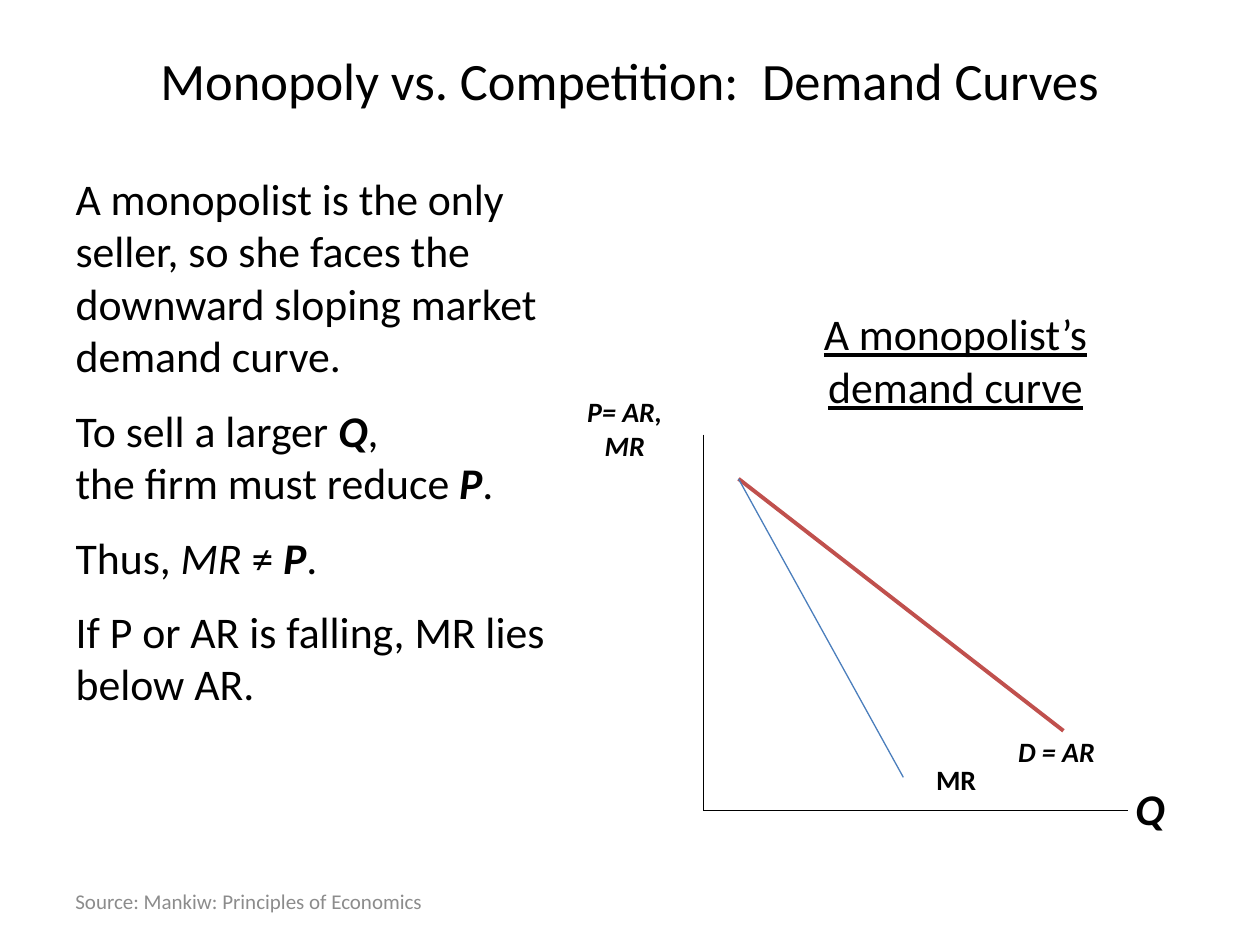
import pptx
import pptx.dml.color
import pptx.enum.shapes
import pptx.enum.text
import pptx.oxml.ns
import pptx.util
from lxml import etree

Pt = pptx.util.Pt
ALIGN = pptx.enum.text.PP_ALIGN
ANCHOR = pptx.enum.text.MSO_ANCHOR
BLACK, GREY, RED, BLUE = "000000", "8C8C8C", "C0504D", "4B7EBC"


def color(hex_string):
    return pptx.dml.color.RGBColor.from_string(hex_string)


def set_font(font, size, hex_string=BLACK, bold=False, italic=False, underline=False):
    font.name = "Calibri"
    font.size = Pt(size)
    font.bold, font.italic, font.underline = bold, italic, underline
    font.color.rgb = color(hex_string)


def place(shape, left, top, width, height):
    shape.left, shape.top = Pt(left), Pt(top)
    shape.width, shape.height = Pt(width), Pt(height)


def add_label(slide, box, text, size, align=ALIGN.LEFT, anchor=ANCHOR.TOP,
              inset=None, **font_style):
    label = slide.shapes.add_textbox(*map(Pt, box))
    frame = label.text_frame
    frame.word_wrap = True
    frame.vertical_anchor = anchor
    if inset is not None:
        frame.margin_left = frame.margin_right = Pt(inset)
        frame.margin_top = frame.margin_bottom = Pt(inset)
    frame.text = text
    frame.paragraphs[0].alignment = align
    set_font(frame.paragraphs[0].runs[0].font, size, **font_style)


def add_line(slide, start, end, hex_string, width):
    line = slide.shapes.add_connector(
        pptx.enum.shapes.MSO_CONNECTOR.STRAIGHT, *map(Pt, start + end))
    line.line.color.rgb = color(hex_string)
    line.line.width = Pt(width)
    properties = line._element.spPr
    etree.SubElement(properties, pptx.oxml.ns.qn("a:effectLst"))


def fill_title(slide, left, top, width, height):
    title = slide.shapes.title
    place(title, left, top, width, height)
    frame = title.text_frame
    frame.text = "Monopoly vs. Competition:  Demand Curves"
    frame.vertical_anchor = ANCHOR.MIDDLE
    frame.auto_size = pptx.enum.text.MSO_AUTO_SIZE.NONE
    frame.paragraphs[0].alignment = ALIGN.CENTER
    set_font(frame.paragraphs[0].runs[0].font, 30)


def fill_arguments(slide, left, top, width, height):
    # Each run is (text, bold, italic); "\n" is a line break
    arguments = [
        [("A monopolist is the only seller, so she faces the downward "
          "sloping market demand curve.", False, False)],
        [("To sell a larger ", False, False), ("Q", True, True),
         (",\nthe firm must reduce ", False, False), ("P", True, True),
         (".", False, False)],
        [("Thus, ", False, False), ("MR", False, True), (" ≠ ", False, False),
         ("P", True, True), (".", False, False)],
        [("If P or AR is falling, MR lies below AR.", False, False)],
    ]
    body = slide.placeholders[1]
    place(body, left, top, width, height)
    frame = body.text_frame
    frame.auto_size = pptx.enum.text.MSO_AUTO_SIZE.NONE
    for index, argument in enumerate(arguments):
        paragraph = frame.add_paragraph() if index else frame.paragraphs[0]
        properties = paragraph._p.get_or_add_pPr()
        properties.set("marL", "0")
        properties.set("indent", "0")
        etree.SubElement(properties, pptx.oxml.ns.qn("a:buNone"))
        paragraph.space_before = Pt(12.5 if index else 0)
        for text, bold, italic in argument:
            for part, piece in enumerate(text.split("\n")):
                if part:
                    paragraph.add_line_break()
                run = paragraph.add_run()
                run.text = piece
                set_font(run.font, 25, bold=bold, italic=italic)


def draw_demand_graph(slide, left, top):
    def at(x, y):
        return left + x, top + y

    # Heading
    add_label(slide, at(112, 0) + (232, 67), "A monopolist’s demand curve", 25,
              ALIGN.CENTER, underline=True)

    # Axes
    origin = at(84, 291)
    add_line(slide, at(84, 76.4), origin, BLACK, 0.75)
    add_line(slide, origin, at(326.4, 291), BLACK, 0.75)
    add_label(slide, at(0, 50) + (78, 46), "P= AR, MR", 16, ALIGN.CENTER,
              bold=True, italic=True)
    add_label(slide, at(323.5, 271) + (42.5, 37.5), "Q", 25, bold=True, italic=True)

    # Demand and marginal revenue start at the same price
    top_price = at(104, 101.6)
    add_line(slide, top_price, at(289.7, 245.6), RED, 2.25)
    add_line(slide, top_price, at(198.2, 272.2), BLUE, 0.75)
    add_label(slide, at(263.8, 247.8) + (78, 19.4), "D = AR", 16, inset=0,
              bold=True, italic=True)
    add_label(slide, at(209.8, 260) + (48, 27), "MR", 16, bold=True)


def add_source(slide, left, top, width, height):
    add_label(slide, (left, top, width, height),
              "Source: Mankiw: Principles of Economics", 12,
              anchor=ANCHOR.MIDDLE, hex_string=GREY)


def main():
    deck = pptx.Presentation()
    deck.slide_width, deck.slide_height = Pt(720), Pt(540)
    slide = deck.slides.add_slide(deck.slide_layouts[1])
    fill_title(slide, 0, 20, 720, 51)
    fill_arguments(slide, 36, 94.5, 316, 389.5)
    draw_demand_graph(slide, 318, 172)
    add_source(slide, 36, 500.5, 282, 28.75)
    deck.save("out.pptx")


if __name__ == "__main__":
    main()
